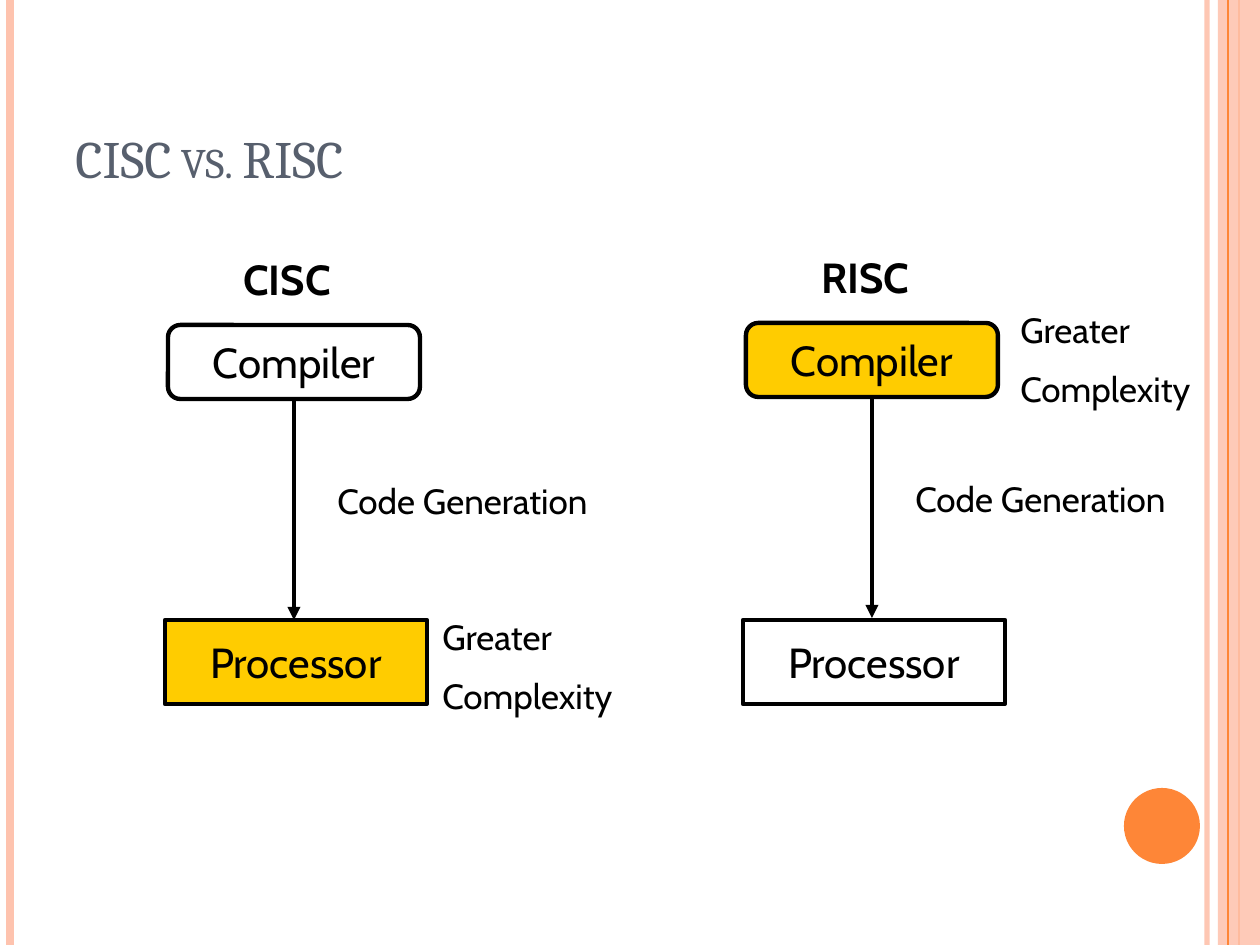
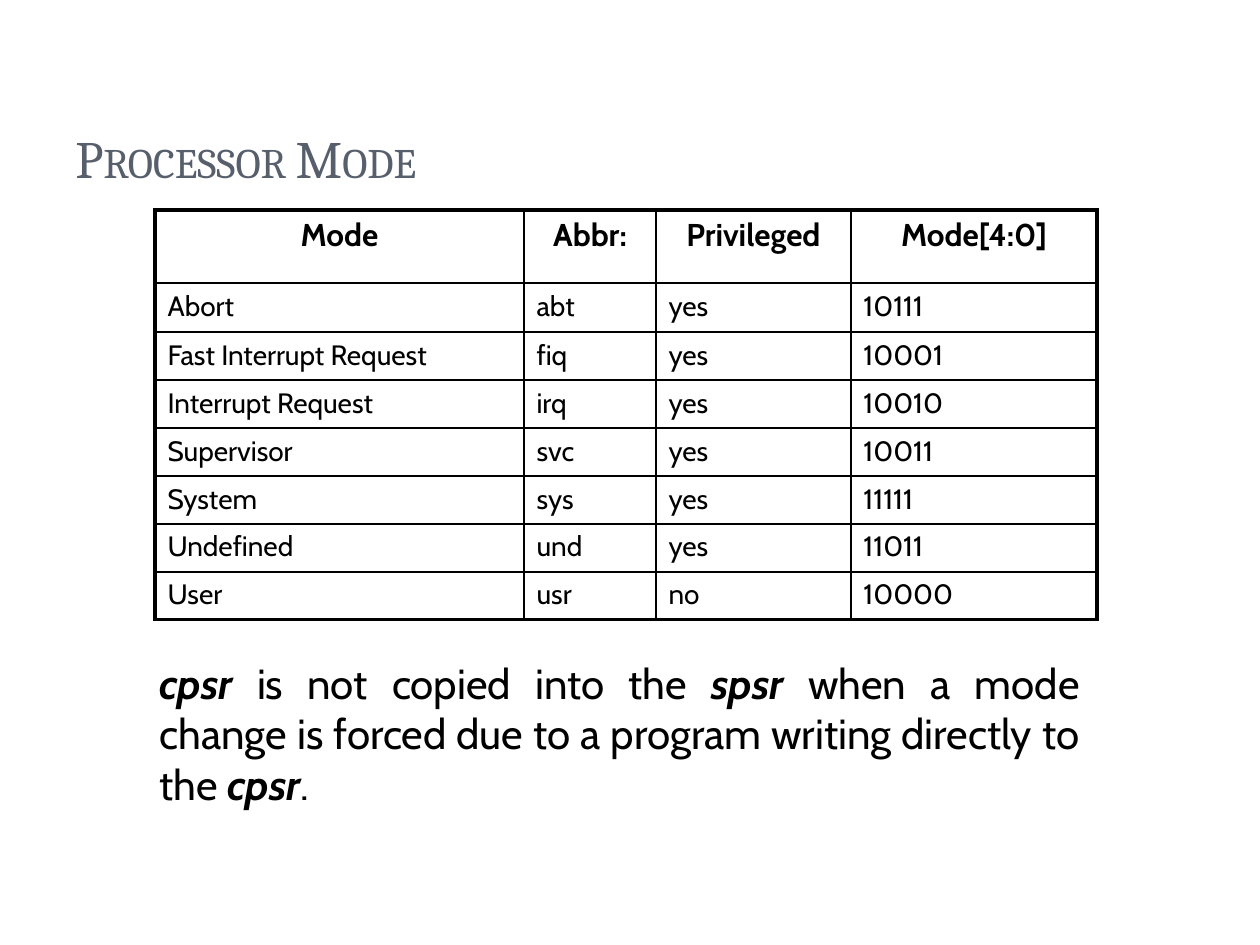
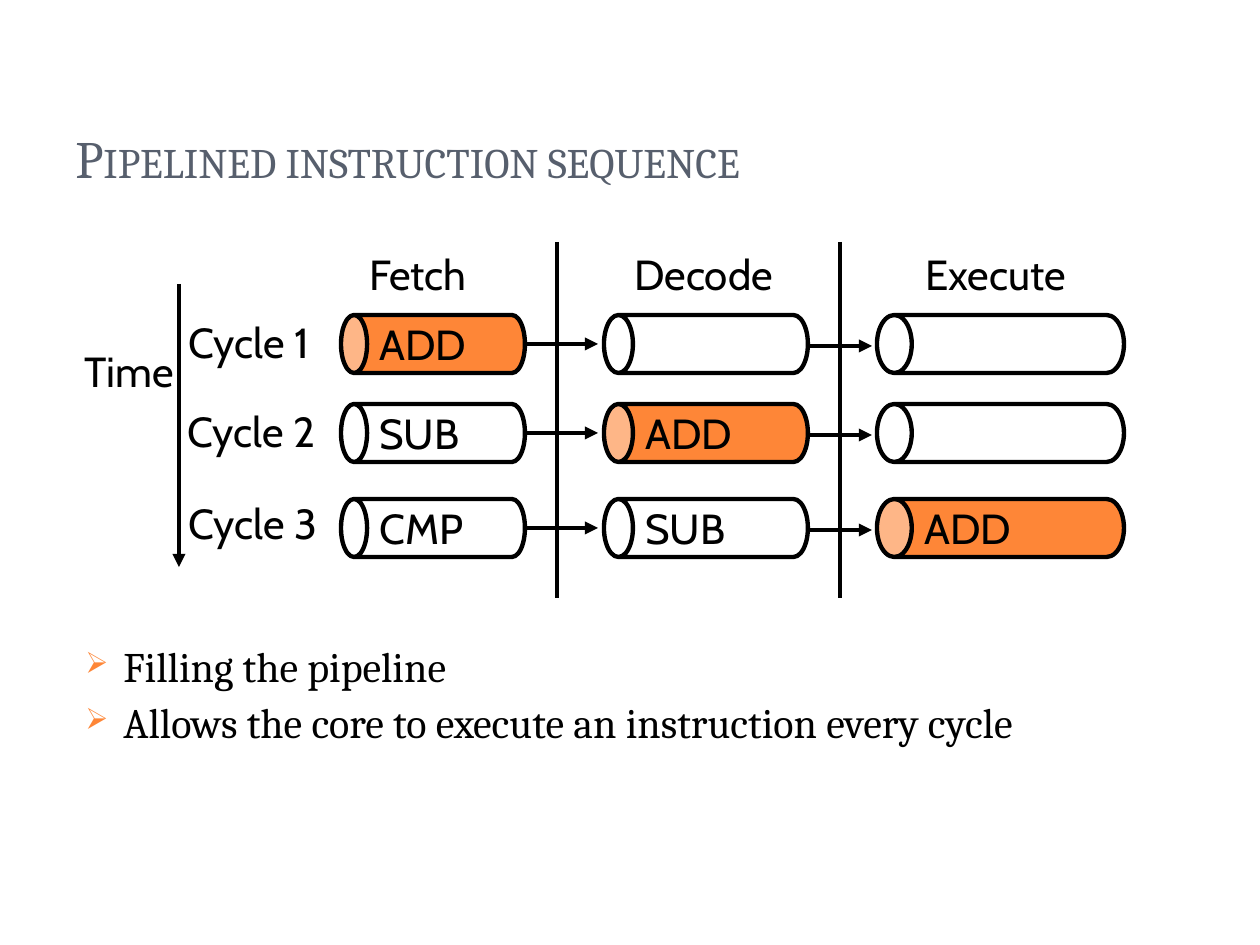
from lxml import etree
from pptx import Presentation, util as u
from pptx.dml.color import RGBColor
from pptx.enum import shapes, text
from pptx.oxml import ns

SCALE = 914400 / 126  # EMU in one px
WIDTH, HEIGHT = 1260, 945
BLACK, SLATE, ORANGE, PEACH, YELLOW = "000000", "575F6D", "FE8637", "FEC3AE", "FFCC00"
SANS, SERIF = "Cabin", "Cambria"
CENTER, JUSTIFY = text.PP_ALIGN.CENTER, text.PP_ALIGN.JUSTIFY
STROKE = 2.5
EMPHASIS = {"bold": True, "italic": True}


def px(length):
    return u.Emu(round(length * SCALE))


def color(hex_code):
    return RGBColor.from_string(hex_code)


def apply(target, values):
    for name, value in values.items():
        setattr(target, name, value)


def add_xml(parent, tag, **attributes):
    return etree.SubElement(parent, ns.qn(tag), attributes)


def set_opacity(part, percent):
    for rgb in part.iter(ns.qn("a:srgbClr")):
        add_xml(rgb, "a:alpha", val=str(percent * 1000))


class Deck:
    """Holds the shared style and the slide being drawn."""

    def __init__(self):
        self.file = Presentation()
        self.file.slide_width, self.file.slide_height = px(WIDTH), px(HEIGHT)
        self.slide = None

    def new_slide(self, title):
        self.slide = self.file.slides.add_slide(self.file.slide_layouts[6])
        heading = self.label(63, 38, 1029, 157, [title], 30, SERIF, SLATE,
                             anchor=text.MSO_ANCHOR.BOTTOM)
        heading.paragraphs[0].runs[0]._r.get_or_add_rPr().set("cap", "small")

    def add_runs(self, paragraph, runs, size, font=SANS, ink=BLACK, **extra):
        """Runs are plain strings or (string, font values) pairs."""
        for part in [runs] if isinstance(runs, str) else runs:
            words, values = (part, {}) if isinstance(part, str) else part
            run = paragraph.add_run()
            run.text = words
            apply(run.font, {"name": font, "size": u.Pt(size), **extra, **values})
            run.font.color.rgb = color(ink)

    def label(self, x, y, w, h, paragraphs, size, font=SANS, ink=BLACK, gap=0,
              anchor=text.MSO_ANCHOR.TOP, layout=None, **extra):
        frame = self.slide.shapes.add_textbox(px(x), px(y), px(w), px(h)).text_frame
        apply(frame, {"word_wrap": True, "vertical_anchor": anchor})
        for i, runs in enumerate(paragraphs):
            paragraph = frame.add_paragraph() if i else frame.paragraphs[0]
            apply(paragraph, layout or {})
            if i:
                paragraph.space_before = u.Pt(gap)
            self.add_runs(paragraph, runs, size, font, ink, **extra)
        return frame

    def bullets(self, x, y, w, h, items):
        frame = self.label(x, y, w, h, items, 24, SERIF, gap=6,
                           layout={"line_spacing": 0.9})
        for paragraph in frame.paragraphs:
            props = paragraph._p.get_or_add_pPr()
            props.set("marL", str(px(38)))
            props.set("indent", str(px(-38)))
            add_xml(add_xml(props, "a:buClr"), "a:srgbClr", val=ORANGE)
            add_xml(props, "a:buSzPct", val="70000")
            add_xml(props, "a:buChar", char="➢")

    def shape(self, kind, x, y, w, h, fill=None, line=BLACK, words=None):
        box = self.slide.shapes.add_shape(kind, px(x), px(y), px(w), px(h))
        box.shadow.inherit = False
        if fill:
            box.fill.solid()
            box.fill.fore_color.rgb = color(fill)
        else:
            box.fill.background()
        if line:
            box.line.color.rgb = color(line)
            box.line.width = u.Pt(STROKE)
        else:
            box.line.fill.background()
        if words:
            apply(box.text_frame, {"word_wrap": False,
                                   "vertical_anchor": text.MSO_ANCHOR.MIDDLE})
            paragraph = box.text_frame.paragraphs[0]
            paragraph.alignment = CENTER
            self.add_runs(paragraph, words, 24)
        return box

    def can(self, x, middle, length, cap, fill, words):
        """A cylinder lying on its side, its open end to the left."""
        thick = 58
        drum = self.shape(shapes.MSO_SHAPE.CAN, x + (length - thick) / 2,
                          middle - length / 2, thick, length, fill, words=words)
        drum.rotation = 270
        drum.adjustments[0] = cap
        if words:
            drum.text_frame._txBody.bodyPr.set("vert", "eaVert")

    def line(self, x1, y1, x2, y2, ink=BLACK, width=STROKE, arrow=False, opacity=100):
        rule = self.slide.shapes.add_connector(
            shapes.MSO_CONNECTOR.STRAIGHT, px(x1), px(y1), px(x2), px(y2))
        rule.line.color.rgb = color(ink)
        rule.line.width = u.Pt(width)
        stroke = rule._element.spPr.get_or_add_ln()
        if arrow:
            add_xml(stroke, "a:tailEnd", type="triangle")
        if opacity < 100:
            set_opacity(stroke, opacity)
        add_xml(rule._element.spPr, "a:effectLst")

    def side_bands(self):
        self.line(1207, 0, 1207, HEIGHT, PEACH, 3, opacity=93)
        self.line(10, 0, 10, HEIGHT, PEACH, 4.5)
        self.line(1239, 0, 1239, HEIGHT, ORANGE, 1.5)
        band = self.shape(shapes.MSO_SHAPE.RECTANGLE, 1218, 0, 42, HEIGHT, PEACH, None)
        set_opacity(band._element.spPr, 87)
        self.line(1228, 0, 1228, HEIGHT, ORANGE, 0.75)
        self.shape(shapes.MSO_SHAPE.OVAL, 1124, 788, 76, 76, ORANGE, None)

    def table(self, x, y, widths, heights, rows):
        grid = self.slide.shapes.add_table(len(rows), len(widths), px(x), px(y),
                                           px(sum(widths)), px(sum(heights))).table
        apply(grid, {"first_row": False, "horz_banding": False})
        for column, width in zip(grid.columns, widths):
            column.width = px(width)
        for r, (row, height) in enumerate(zip(rows, heights)):
            grid.rows[r].height = px(height)
            for c, words in enumerate(row):
                cell = grid.cell(r, c)
                outer = {"L": c == 0, "R": c == len(widths) - 1,
                         "T": r == 0, "B": r == len(rows) - 1}
                for side, is_outer in outer.items():
                    border = add_xml(cell._tc.get_or_add_tcPr(), f"a:ln{side}",
                                     w=str(u.Pt(2.25 if is_outer else 1)))
                    add_xml(add_xml(border, "a:solidFill"), "a:srgbClr", val=BLACK)
                cell.fill.background()
                paragraph = cell.text_frame.paragraphs[0]
                if r == 0:
                    paragraph.alignment = CENTER
                self.add_runs(paragraph, words, 16 if r else 18, bold=r == 0)


def cisc_vs_risc(deck):
    deck.new_slide("CISC vs. RISC")
    deck.side_bands()
    # One column per design: shift, compiler fill, processor fill, note top
    designs = [("CISC", 0, 0, None, YELLOW, 609), ("RISC", 578, -2, YELLOW, None, 302)]
    for name, dx, dy, compiler, processor, note_y in designs:
        deck.shape(shapes.MSO_SHAPE.ROUNDED_RECTANGLE, 168 + dx, 325 + dy, 252, 74,
                   compiler, words="Compiler")
        deck.shape(shapes.MSO_SHAPE.RECTANGLE, 165 + dx, 620, 262, 84,
                   processor, words="Processor")
        deck.label(325 + dx, 473 + dy, 325, 54, ["Code Generation"], 20)
        deck.line(294 + dx, 399 + dy, 294 + dx, 620 + dy, arrow=True)
        deck.label(430 + dx, note_y, 240, 117, ["Greater", "Complexity"], 20, gap=10)
        deck.label(231 + dx, 247 + dy, 325, 63, [name], 24, bold=True)


def processor_mode(deck):
    deck.new_slide("Processor Mode")
    modes = [
        ("Mode", "Abbr:", "Privileged", "Mode[4:0]"),
        ("Abort", "abt", "yes", "10111"),
        ("Fast Interrupt Request", "fiq", "yes", "10001"),
        ("Interrupt Request", "irq", "yes", "10010"),
        ("Supervisor", "svc", "yes", "10011"),
        ("System", "sys", "yes", "11111"),
        ("Undefined", "und", "yes", "11011"),
        ("User", "usr", "no", "10000"),
    ]
    deck.table(155, 210, [369, 132, 195, 246], [73, 49] + [48] * 6, modes)
    remark = [("cpsr", EMPHASIS), " is not copied into the ", ("spsr ", EMPHASIS),
              "when a mode change is forced due to a program writing directly to the ",
              ("cpsr", EMPHASIS), "."]
    deck.label(147, 651, 945, 220, [remark], 24, layout={"alignment": JUSTIFY})


def pipeline(deck):
    deck.new_slide("Pipelined instruction sequence")
    deck.bullets(73, 640, 1134, 210, [
        "Filling the pipeline", "Allows the core to execute an instruction every cycle"])
    # Stages: name, name left, can left, can length, cap ratio
    stages = [("Fetch", 357, 341, 184, 0.45), ("Decode", 622, 604, 204, 0.5),
              ("Execute", 913, 877, 247, 0.6)]
    # Cycles: middle, label left, label top, instruction in each stage
    cycles = [(344, 176, 310, ("ADD", None, None)), (433, 175, 399, ("SUB", "ADD", None)),
              (528, 176, 491, ("CMP", "SUB", "ADD"))]
    for number, (middle, label_x, label_y, instructions) in enumerate(cycles, 1):
        for (_, _, x, length, cap), words in zip(stages, instructions):
            deck.can(x, middle, length, cap, ORANGE if words == "ADD" else None, words)
        deck.line(525, middle, 598, middle, arrow=True)
        deck.line(809, middle + 2, 872, middle + 2, arrow=True)
        deck.label(label_x, label_y, 179, 63, [f"Cycle {number}"], 24)
    for name, x, *_ in stages:
        deck.label(x, 242, 200, 63, [name], 24)
    for divider in (557, 840):
        deck.line(divider, 242, divider, 598)
    # Time axis
    deck.line(179, 284, 179, 567, arrow=True)
    deck.label(72, 339, 179, 63, ["Time"], 24)


def main():
    deck = Deck()
    for draw in (cisc_vs_risc, processor_mode, pipeline):
        draw(deck)
    deck.file.save("out.pptx")


if __name__ == "__main__":
    main()
